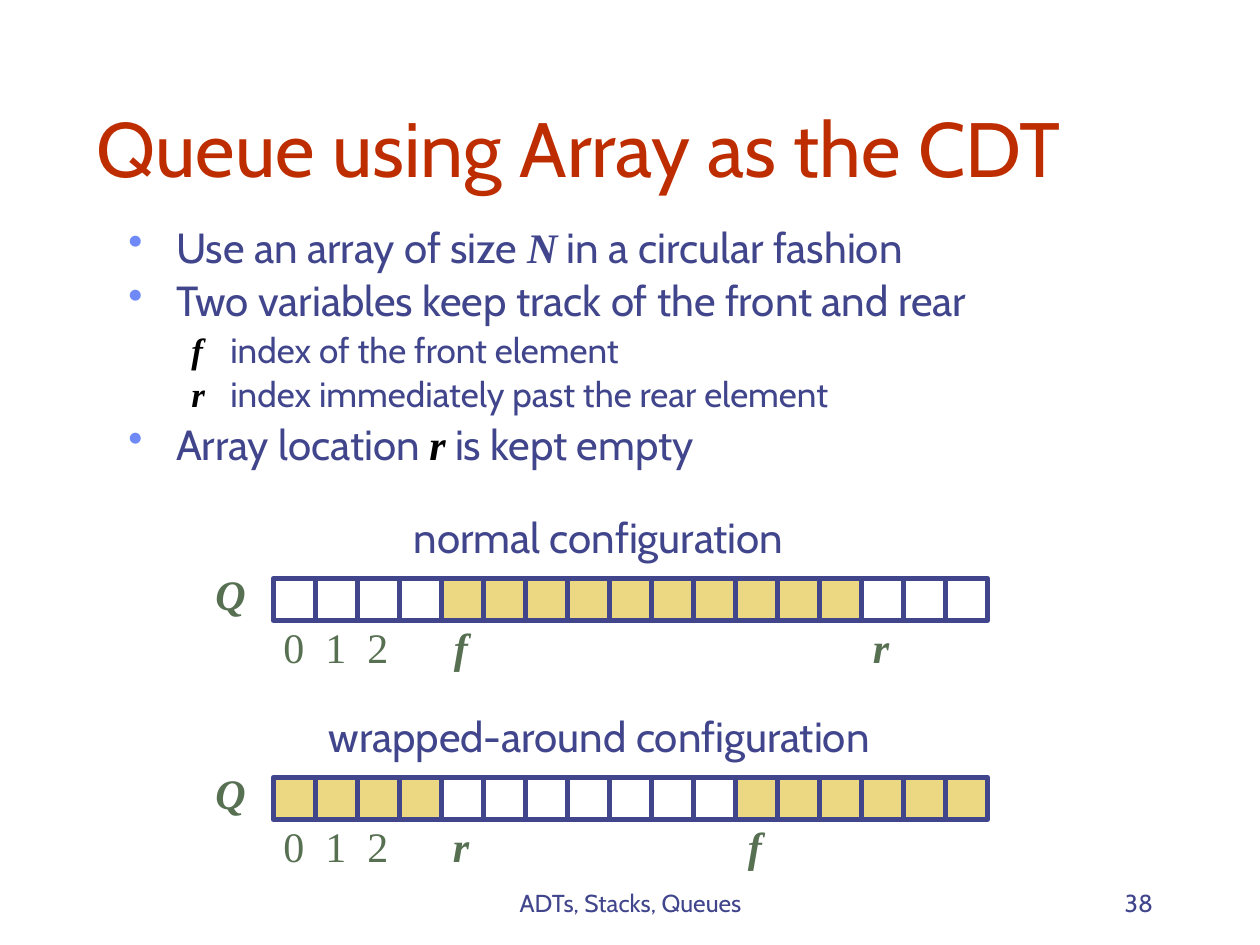
import pptx
import pptx.dml.color
import pptx.enum.shapes
import pptx.enum.text
import pptx.oxml.ns
import pptx.util
from lxml import etree

Inches, Pt = pptx.util.Inches, pptx.util.Pt
ALIGN = pptx.enum.text.PP_ALIGN
BOTTOM = pptx.enum.text.MSO_ANCHOR.BOTTOM

INDIGO, RED, GREEN, BLACK = "40458C", "BE2D00", "577052", "000000"
WHITE, YELLOW, BULLET_BLUE = "FFFFFF", "ECD882", "6F89F7"

PLAIN = {"name": "Cabin", "color": INDIGO}
VARIABLE = {"name": "Times New Roman", "bold": True, "italic": True}
SIZE_NAME = {**VARIABLE, "color": INDIGO}
INDEX_NAME = {**VARIABLE, "color": BLACK}
ARRAY_NAME = {**VARIABLE, "color": GREEN}
NUMBER = {"name": "Times New Roman", "color": GREEN}

TITLE = "Queue using Array as the CDT"
FOOTER, PAGE = "ADTs, Stacks, Queues", "38"
# Each point: level, then runs of text and format
POINTS = [
    (0, [("Use an array of size ", PLAIN), ("N", SIZE_NAME), (" in a circular fashion", PLAIN)]),
    (0, [("Two variables keep track of the front and rear", PLAIN)]),
    (1, [("f", INDEX_NAME), (" \tindex of the front element", PLAIN)]),
    (1, [("r", INDEX_NAME), ("\tindex immediately past the rear element", PLAIN)]),
    (0, [("Array location ", PLAIN), ("r", INDEX_NAME), (" is kept empty", PLAIN)]),
]
LEVELS = [  # text size, left margin, first-line indent, bullet
    {"size": 24, "margin": 0.38, "indent": -0.38, "bullet": "•"},
    {"size": 20, "margin": 0.81, "indent": -0.31, "bullet": None},
]
# Caption left and width; f and r are cell positions
QUEUES = [
    {"caption": "normal configuration", "span": (3.13, 3.24), "top": 4.01,
     "f": 4, "r": 14, "filled": range(4, 14)},
    {"caption": "wrapped-around configuration", "span": (2.43, 4.65), "top": 5.59,
     "f": 11, "r": 4, "filled": [*range(4), *range(11, 17)]},
]
CELLS, CELL, ARRAY_LEFT = 17, 1 / 3, 2.17


def rgb(value):
    """Turn a hex string into a colour."""
    return pptx.dml.color.RGBColor.from_string(value)


def add_run(paragraph, text, size, style):
    """Append a formatted run."""
    run = paragraph.add_run()
    run.text = text
    run.font.size = Pt(size)
    for key, value in style.items():
        if key == "color":
            run.font.color.rgb = rgb(value)
        else:
            setattr(run.font, key, value)


def add_frame(shapes, box, inset=True, **settings):
    """Add a text box and return its text frame."""
    frame = shapes.add_textbox(*map(Inches, box)).text_frame
    frame.word_wrap = True
    if not inset:
        for side in ("left", "right", "top", "bottom"):
            setattr(frame, "margin_" + side, 0)
    for key, value in settings.items():
        setattr(frame, key, value)
    return frame


def add_label(shapes, text, box, size, style, align=ALIGN.CENTER, **settings):
    """Add a text box with a single line."""
    paragraph = add_frame(shapes, box, **settings).paragraphs[0]
    paragraph.alignment = align
    add_run(paragraph, text, size, style)


def format_point(paragraph, level):
    """Set spacing, indents and bullet of a body paragraph."""
    look = LEVELS[level]
    paragraph.level = level
    paragraph.line_spacing = 0.9
    props = paragraph._p.get_or_add_pPr()
    props.set("marL", str(Inches(look["margin"])))
    props.set("indent", str(Inches(look["indent"])))

    def child(parent, tag, **attributes):
        return etree.SubElement(parent, pptx.oxml.ns.qn(tag), **attributes)

    child(child(props, "a:spcBef"), "a:spcPct", val="20000")
    if look["bullet"]:
        child(child(props, "a:buClr"), "a:srgbClr", val=BULLET_BLUE)
        child(props, "a:buChar", char=look["bullet"])
    else:
        child(props, "a:buNone")


def add_points(shapes):
    """Add the body text."""
    frame = add_frame(shapes, (0.92, 1.75, 8.17, 2.08))
    for number, (level, runs) in enumerate(POINTS):
        paragraph = frame.add_paragraph() if number else frame.paragraphs[0]
        format_point(paragraph, level)
        for text, style in runs:
            add_run(paragraph, text, LEVELS[level]["size"], style)


def add_queue(shapes, queue):
    """Draw one array with its caption, cells and index labels."""
    top = queue["top"]
    cell_top, index_top = top + 0.58, top + 0.92
    add_label(shapes, "Q", (1.67, top + 0.5, 0.32, 0.4), 24, ARRAY_NAME, inset=False)
    for index in range(3):
        left = ARRAY_LEFT + index * CELL + 0.08
        add_label(shapes, str(index), (left, index_top, 0.17, 0.4), 24, NUMBER,
                  ALIGN.LEFT, inset=False, word_wrap=False)
    for name in "fr":
        left = ARRAY_LEFT + queue[name] * CELL
        add_label(shapes, name, (left, index_top, 0.31, 0.4), 24, ARRAY_NAME, inset=False)
    for index in range(CELLS):
        box = (ARRAY_LEFT + index * CELL, cell_top, CELL, CELL)
        cell = shapes.add_shape(pptx.enum.shapes.MSO_SHAPE.RECTANGLE, *map(Inches, box))
        cell.shadow.inherit = False
        cell.fill.solid()
        cell.fill.fore_color.rgb = rgb(YELLOW if index in queue["filled"] else WHITE)
        cell.line.color.rgb = rgb(INDIGO)
        cell.line.width = Pt(3)
    left, width = queue["span"]
    add_label(shapes, queue["caption"], (left, top, width, 0.5), 24, PLAIN, word_wrap=False)


deck = pptx.Presentation()
deck.slide_width, deck.slide_height = Inches(10), Inches(7.5)
slide = deck.slides.add_slide(deck.slide_layouts[6])

add_label(slide.shapes, FOOTER, (3.42, 6.83, 3.17, 0.5), 14, PLAIN, vertical_anchor=BOTTOM)
add_label(slide.shapes, PAGE, (7.17, 6.83, 2.08, 0.5), 14, PLAIN, ALIGN.RIGHT,
          vertical_anchor=BOTTOM)
add_label(slide.shapes, TITLE, (0.67, 0.33, 8.5, 1.25), 44, {**PLAIN, "color": RED},
          ALIGN.LEFT, vertical_anchor=BOTTOM)
add_points(slide.shapes)
for queue in QUEUES:
    add_queue(slide.shapes.add_group_shape().shapes, queue)

deck.save("out.pptx")
